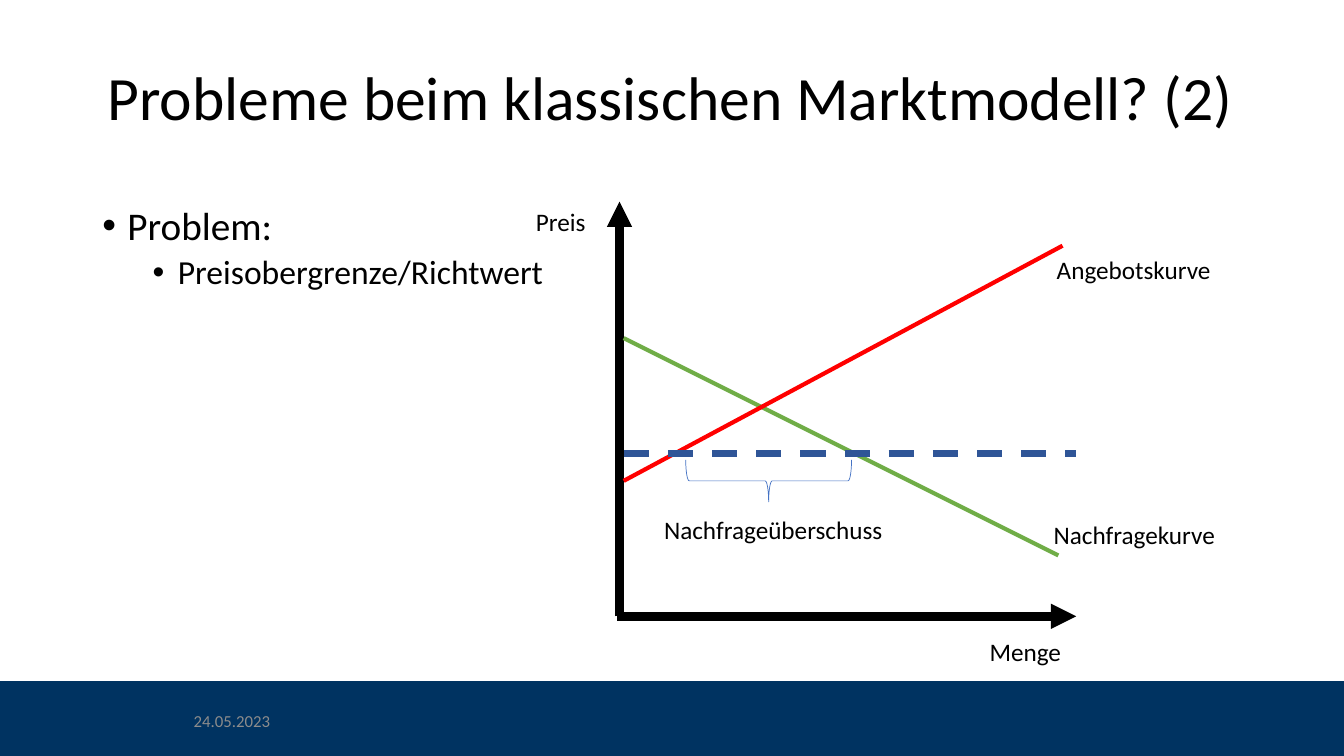
from lxml.etree import SubElement
from pptx import Presentation
from pptx.dml.color import RGBColor
from pptx.enum.dml import MSO_LINE_DASH_STYLE as Dash
from pptx.enum.shapes import MSO_CONNECTOR as Connector, MSO_SHAPE as Shape
from pptx.enum.text import MSO_ANCHOR as Anchor
from pptx.oxml.ns import qn
from pptx.util import Emu, Pt

PX = 9525
COLORS = {
    "band": "003361", "text": "000000", "date": "8C8C8C", "axis": "000000",
    "demand": "70AD47", "supply": "FF0000", "cap": "2F5597", "brace": "4472C4",
}


def px(*lengths):
    """Turn pixel lengths into EMU."""
    return [Emu(length * PX) for length in lengths]


def color(name):
    """Look up a named colour."""
    return RGBColor.from_string(COLORS[name])


def add_span(para, text, size, tone="text"):
    """Add one formatted run to a paragraph."""
    span = para.add_run()
    span.text = text
    span.font.name = "Calibri"
    span.font.size = Pt(size)
    span.font.color.rgb = color(tone)


def add_frame(page, box, anchor=Anchor.TOP):
    """Add a wrapping text box and return its text frame."""
    frame = page.shapes.add_textbox(*px(*box)).text_frame
    frame.word_wrap = True
    frame.vertical_anchor = anchor
    return frame


def add_title(page, box):
    """Place the slide title."""
    para = add_frame(page, box, Anchor.MIDDLE).paragraphs[0]
    para.line_spacing = 0.9
    add_span(para, "Probleme beim klassischen Marktmodell? (2)", 44)


def add_bullets(page, box):
    """Place the two-level bullet list."""
    frame = add_frame(page, box)
    items = [("Problem:", 28, 10), ("Preisobergrenze/Richtwert", 24, 5)]
    for level, (text, size, before) in enumerate(items):
        para = frame.add_paragraph() if level else frame.paragraphs[0]
        para.level = level
        para.line_spacing = 0.9
        para.space_before = Pt(before)
        properties = para._p.get_or_add_pPr()
        properties.set("marL", str((24 + 48 * level) * PX))
        properties.set("indent", str(-24 * PX))
        SubElement(properties, qn("a:buFont"), typeface="Arial")
        SubElement(properties, qn("a:buChar"), char="•")
        add_span(para, text, size)


def add_line(page, start, end, tone, width, dash=None, arrow=False):
    """Draw a straight line, dashed or with an arrowhead if asked."""
    line = page.shapes.add_connector(Connector.STRAIGHT, *px(*start, *end))
    line.line.color.rgb = color(tone)
    line.line.width = Pt(width)
    if dash:
        line.line.dash_style = dash
    if arrow:
        SubElement(line.line._get_or_add_ln(), qn("a:tailEnd"), type="triangle")
    SubElement(line._element.spPr, qn("a:effectLst"))


def add_market_diagram(page, box):
    """Draw axes, curves, price cap and labels inside the box."""
    left, top, width, height = box

    def at(x, y):
        """Shift a point into the box."""
        return left + x, top + y

    add_line(page, at(2, height), at(2, 0), "axis", 6, arrow=True)
    add_line(page, at(0, height), at(width, height), "axis", 6, arrow=True)
    add_line(page, at(6, 130), at(420, 337), "demand", 3)
    add_line(page, at(6, 266), at(424, 42), "supply", 3)
    add_line(page, at(6, 240), at(width, 240), "cap", 4.5, dash=Dash.DASH)

    brace = page.shapes.add_shape(Shape.RIGHT_BRACE, *px(*at(124, 187), 40, 158))
    brace.rotation = 90
    brace.shadow.inherit = False
    brace.fill.background()
    brace.line.color.rgb = color("brace")
    brace.line.width = Pt(0.5)

    labels = [
        ("Preis", -87, 0, 85),
        ("Menge", 345, 409, 91),
        ("Angebotskurve", 409, 45, 204),
        ("Nachfragekurve", 406, 298, 204),
        ("Nachfrageüberschuss", 35, 293, 252),
    ]
    for text, x, y, label_width in labels:
        frame = add_frame(page, (*at(x, y), label_width, 38))
        add_span(frame.paragraphs[0], text, 18)


def add_footer(page, box):
    """Draw the footer band with the date."""
    left, top, width, height = box
    band = page.shapes.add_shape(Shape.RECTANGLE, *px(*box))
    band.shadow.inherit = False
    band.fill.solid()
    band.fill.fore_color.rgb = color("band")
    band.line.color.rgb = color("band")
    band.line.width = Pt(1)
    frame = add_frame(page, (left + 175, top + 18, 288, 38), Anchor.MIDDLE)
    add_span(frame.paragraphs[0], "24.05.2023", 12, "date")


def main():
    """Build and save the slide."""
    deck = Presentation()
    deck.slide_width, deck.slide_height = px(1280, 720)
    page = deck.slides.add_slide(deck.slide_layouts[6])
    add_footer(page, (0, 649, 1280, 71))
    add_bullets(page, (88, 192, 1104, 457))
    add_title(page, (93, 26, 1104, 139))
    add_market_diagram(page, (588, 192, 437, 395))
    deck.save("out.pptx")


if __name__ == "__main__":
    main()
